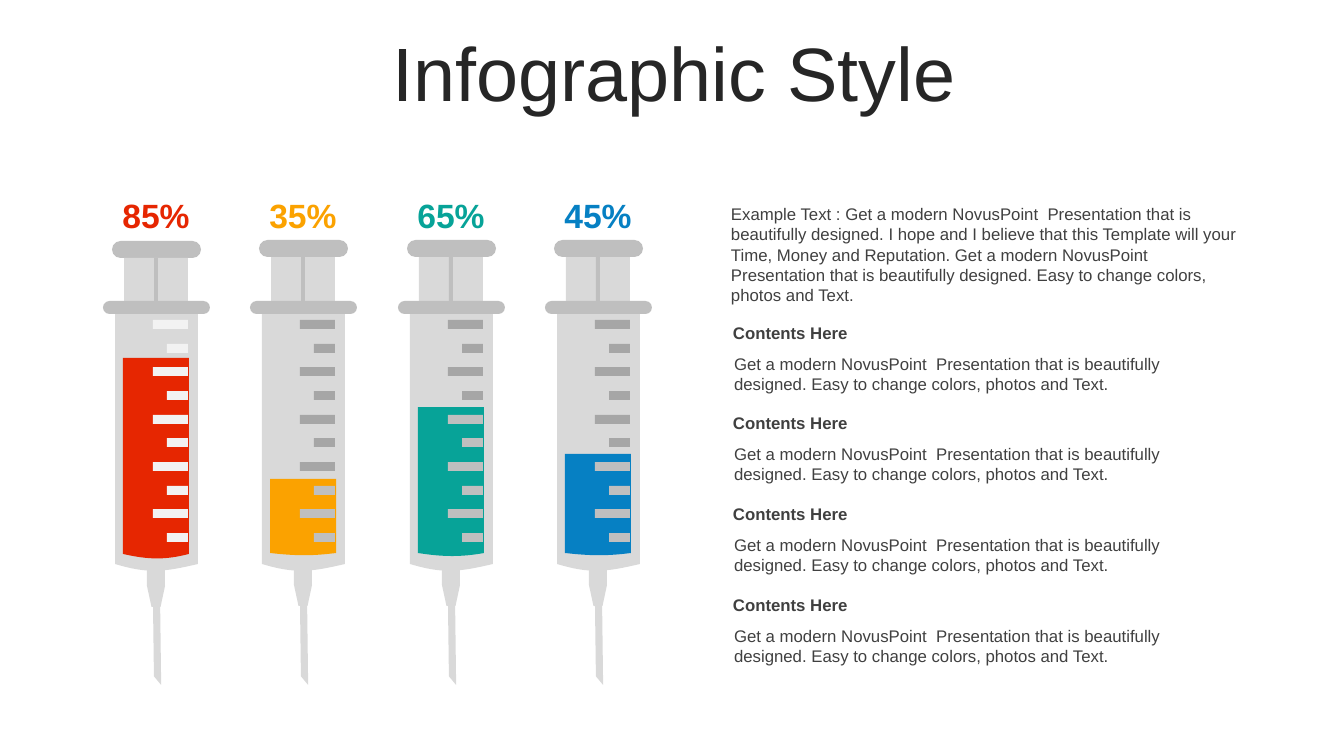
from dataclasses import dataclass

from pptx import Presentation
from pptx.dml.color import RGBColor
from pptx.enum.shapes import MSO_SHAPE
from pptx.enum.text import MSO_ANCHOR, PP_ALIGN
from pptx.oxml.ns import qn
from pptx.oxml.xmlchemy import OxmlElement
from pptx.shapes.autoshape import Shape
from pptx.shapes.shapetree import GroupShapes, SlideShapes
from pptx.util import Emu, Pt

RECT = MSO_SHAPE.RECTANGLE
ROUND = MSO_SHAPE.ROUNDED_RECTANGLE
TRAPEZOID = MSO_SHAPE.TRAPEZOID
STRIPE = MSO_SHAPE.DIAGONAL_STRIPE
LEFT, CENTER = PP_ALIGN.LEFT, PP_ALIGN.CENTER
TOP, MIDDLE = MSO_ANCHOR.TOP, MSO_ANCHOR.MIDDLE

WIDTH, HEIGHT = 1344, 756
SCALE = 12192000 / WIDTH


@dataclass(frozen=True)
class Theme:
    font: str = "Arial"
    title: str = "262626"
    text: str = "404040"
    glass: str = "D9D9D9"
    metal: str = "BFBFBF"
    tick_dry: str = "A6A6A6"
    tick_wet: str = "BFBFBF"
    tick_light: str = "F2F2F2"
    title_pt: int = 54
    percent_pt: int = 24
    text_pt: int = 12


@dataclass(frozen=True)
class Syringe:
    percent: str
    color: str
    liquid_top: int
    sag: int
    drop: int = 0
    tick_dry: str = Theme.tick_dry
    tick_wet: str = Theme.tick_wet


@dataclass(frozen=True)
class Part:
    kind: MSO_SHAPE
    dx: int
    y: int
    w: int
    h: int
    color: str
    rotation: int = 0
    adjust: float | None = None
    drops: bool = True


@dataclass(frozen=True)
class Tank:
    x: int
    top: int
    w: int
    bottom: int
    right_control: tuple[int, int]
    left_control: tuple[int, int]
    color: str


THEME = Theme()

SYRINGES = [
    Syringe("85%", "E62601", 358, 6, 1, THEME.tick_light, THEME.tick_light),
    Syringe("35%", "FBA200", 479, 3),
    Syringe("65%", "07A398", 407, 4),
    Syringe("45%", "0680C3", 454, 3),
]

NEEDLE = Part(STRIPE, 12, 591, 67, 82, THEME.glass, 320, 0.863, False)
FITTINGS = [
    Part(ROUND, -3, 240, 89, 17, THEME.metal, adjust=0.5),
    Part(RECT, 9, 257, 64, 46, THEME.glass),
    Part(RECT, 32, 568, 18, 17, THEME.glass),
    Part(TRAPEZOID, 32, 585, 18, 21, THEME.glass, 180),
    Part(ROUND, -12, 301, 107, 13, THEME.metal, adjust=0.5, drops=False),
    Part(RECT, 39, 257, 4, 46, THEME.metal),
]

INTRO = (
    "Example Text : Get a modern NovusPoint  Presentation that is beautifully designed. "
    "I hope and I believe that this Template will your Time, Money and Reputation. "
    "Get a modern NovusPoint  Presentation that is beautifully designed. "
    "Easy to change colors, photos and Text."
)
HEADING = "Contents Here"
DETAIL = (
    "Get a modern NovusPoint  Presentation that is beautifully designed. "
    "Easy to change colors, photos and Text."
)


def px(n: float) -> Emu:
    return Emu(round(n * SCALE))


def paint(sp: Shape, color: str) -> None:
    sp.shadow.inherit = False
    sp.fill.solid()
    sp.fill.fore_color.rgb = RGBColor.from_string(color)
    sp.line.fill.background()


def add_part(shapes: GroupShapes, part: Part, x: int, drop: int = 0) -> None:
    y = part.y + (drop if part.drops else 0)
    sp = shapes.add_shape(part.kind, px(x + part.dx), px(y), px(part.w), px(part.h))
    if part.adjust is not None:
        sp.adjustments[0] = part.adjust
    sp.rotation = part.rotation
    paint(sp, part.color)


def add_tank(shapes: GroupShapes, tank: Tank) -> None:
    right, depth = tank.x + tank.w, tank.bottom - tank.top
    lowest = tank.bottom + 0.375 * (tank.right_control[1] + tank.left_control[1])
    corners = [(right, tank.top), (right, tank.bottom),
               (tank.x + tank.w / 2, lowest), (tank.x, tank.bottom)]
    builder = shapes.build_freeform(px(tank.x), px(tank.top))
    builder.add_line_segments([(px(a), px(b)) for a, b in corners], close=True)
    sp = builder.convert_to_shape()
    outline = sp._element.find(".//" + qn("a:path"))
    low, end = outline.findall(qn("a:lnTo"))[2:]
    curve = OxmlElement("a:cubicBezTo")
    for dx, dy in (tank.right_control, tank.left_control, (0, 0)):
        pt = OxmlElement("a:pt")
        pt.set("x", str(px(dx)))
        pt.set("y", str(px(depth + dy)))
        curve.append(pt)
    outline.replace(end, curve)
    outline.remove(low)
    paint(sp, tank.color)


def add_text(shapes: SlideShapes, text: str, box: tuple[int, int, int, int],
             size: int, color: str, bold: bool = False, align: PP_ALIGN = LEFT,
             anchor: MSO_ANCHOR = TOP, insets: tuple[int, int] = (10, 10),
             line_spacing: float | None = None) -> None:
    tf = shapes.add_textbox(*map(px, box)).text_frame
    tf.word_wrap = True
    tf.vertical_anchor = anchor
    tf.margin_left, tf.margin_right = map(px, insets)
    tf.margin_top = tf.margin_bottom = px(5)
    p = tf.paragraphs[0]
    p.text = text
    p.alignment = align
    p.line_spacing = line_spacing
    p.font.name = THEME.font
    p.font.size = Pt(size)
    p.font.bold = bold
    p.font.color.rgb = RGBColor.from_string(color)


def add_syringe(shapes: SlideShapes, syringe: Syringe, x: int) -> None:
    group = shapes.add_group_shape().shapes
    add_part(group, NEEDLE, x)
    add_tank(group, Tank(x, 313, 83, 564, (49, 8), (33, 10), THEME.glass))
    for part in FITTINGS:
        add_part(group, part, x, syringe.drop)
    add_tank(group, Tank(x + 8, syringe.liquid_top, 66, 553 + syringe.drop,
                         (43, syringe.sag), (26, syringe.sag), syringe.color))
    for i in range(10):
        y = 320 + round(i * 71 / 3)
        dx, w = (52, 21) if i % 2 else (38, 35)
        color = syringe.tick_wet if y > syringe.liquid_top else syringe.tick_dry
        add_part(group, Part(RECT, dx, y, w, 9, color), x)
    add_text(shapes, syringe.percent, (x - 8, 190, 98, 50), THEME.percent_pt,
             syringe.color, bold=True, align=CENTER, insets=(12, 12))


def main() -> None:
    prs = Presentation()
    prs.slide_width, prs.slide_height = px(WIDTH), px(HEIGHT)
    s = prs.slides.add_slide(prs.slide_layouts[6])
    add_text(s.shapes, "Infographic Style", (36, 37, 1276, 80), THEME.title_pt,
             THEME.title, align=CENTER, anchor=MIDDLE, line_spacing=0.9)
    for i, syringe in enumerate(SYRINGES):
        add_syringe(s.shapes, syringe, 115 + round(i * 442 / 3))
    add_text(s.shapes, INTRO, (723, 199, 533, 112), THEME.text_pt, THEME.text,
             insets=(8, 12))
    for i in range(4):
        y = 318 + i * 272 // 3
        add_text(s.shapes, HEADING, (723, y, 522, 30), THEME.text_pt, THEME.text,
                 bold=True, insets=(10, 12))
        add_text(s.shapes, DETAIL, (724, y + 31, 518, 50), THEME.text_pt, THEME.text)
    prs.save("out.pptx")


if __name__ == "__main__":
    main()
